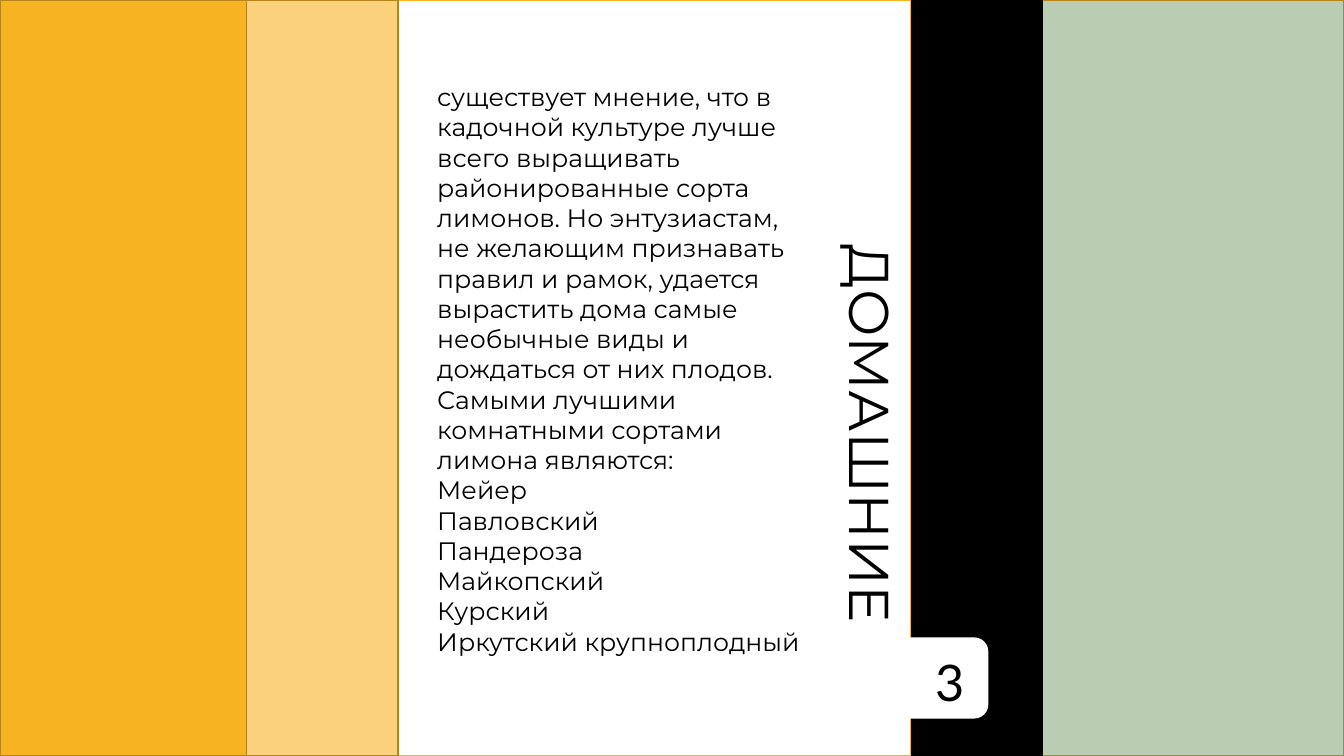
from pptx import Presentation
from pptx.dml.color import RGBColor
from pptx.enum.shapes import MSO_SHAPE
from pptx.enum.text import MSO_AUTO_SIZE
from pptx.util import Cm, Pt

WIDTH, HEIGHT = 33.87, 19.05
BACKGROUND = "F3F3F2"

BANDS = [
    (WIDTH, "BACCB2", "B7841A"),
    (26.26, "000000", "000000"),
    (22.94, "FFFFFF", "F8B323"),
    (10.03, "FBD17B", "B7841A"),
    (6.22, "F8B323", "B7841A"),
]
NUMBER_TAB = (22.58, 16.08, 2.31, 2.01)

VARIETIES = [
    "существует мнение, что в кадочной культуре лучше всего выращивать "
    "районированные сорта лимонов. Но энтузиастам, не желающим признавать "
    "правил и рамок, удается вырастить дома самые необычные виды и дождаться "
    "от них плодов. Самыми лучшими комнатными сортами лимона являются:",
    "Мейер",
    "Павловский",
    "Пандероза",
    "Майкопский",
    "Курский",
    "Иркутский крупноплодный",
]
TEXTS = [
    (VARIETIES, (10.77, 1.93, 9.83, 16.41), 0, {"name": "Montserrat", "size": Pt(18)}),
    (["ДОМАШНИЕ"], (15.75, 11.15, 12.42, 1.96), 90, {"name": "Montserrat", "size": Pt(40)}),
    (["3"], (23.32, 16.28, 1.63, 1.8), 0, {"name": "Lato", "size": Pt(36)}),
]


def paint(fill, colour):
    fill.solid()
    fill.fore_color.rgb = RGBColor.from_string(colour)


def add_panel(slide, preset, area, colour, outline):
    panel = slide.shapes.add_shape(preset, *map(Cm, area))
    panel.shadow.inherit = False
    paint(panel.fill, colour)
    paint(panel.line.fill, outline)
    panel.line.width = Pt(1)


def add_text(slide, lines, area, rotation, font_format):
    box = slide.shapes.add_textbox(*map(Cm, area))
    box.rotation = rotation
    frame = box.text_frame
    frame.word_wrap = True
    frame.auto_size = MSO_AUTO_SIZE.SHAPE_TO_FIT_TEXT
    frame.text = "\n".join(lines)
    for paragraph in frame.paragraphs:
        for run in paragraph.runs:
            for attribute, value in font_format.items():
                setattr(run.font, attribute, value)
            paint(run.font.fill, "000000")


def main():
    """Build the slide on home-grown lemon varieties."""
    deck = Presentation()
    deck.slide_width, deck.slide_height = Cm(WIDTH), Cm(HEIGHT)
    slide = deck.slides.add_slide(deck.slide_layouts[6])
    paint(slide.background.fill, BACKGROUND)
    for right, colour, outline in BANDS:
        add_panel(slide, MSO_SHAPE.RECTANGLE, (0, 0, right, HEIGHT), colour, outline)
    add_panel(slide, MSO_SHAPE.ROUNDED_RECTANGLE, NUMBER_TAB, "FFFFFF", "FFFFFF")
    for text in TEXTS:
        add_text(slide, *text)
    deck.save("out.pptx")


if __name__ == "__main__":
    main()
